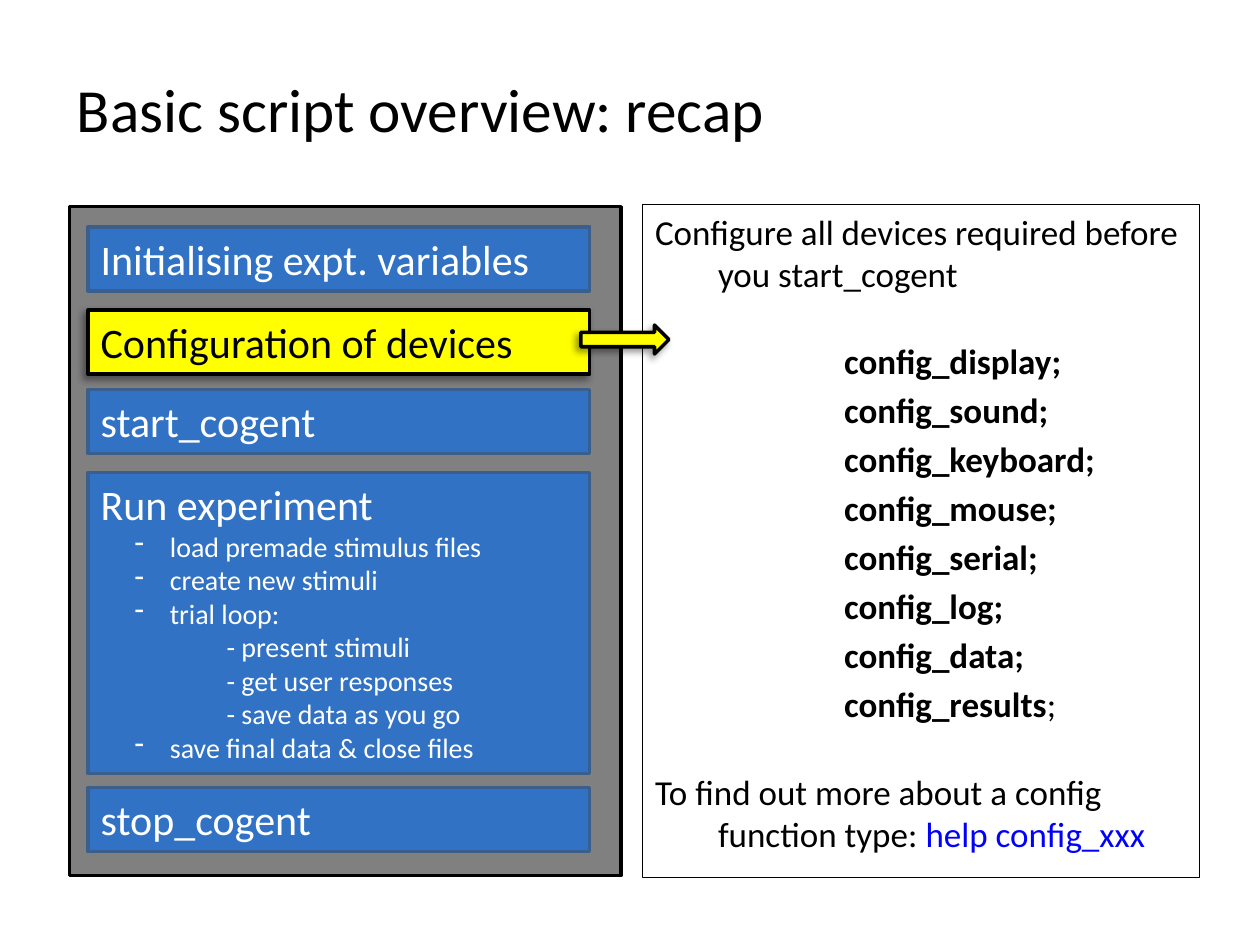
from lxml import etree
from pptx import Presentation
from pptx.dml.color import RGBColor
from pptx.enum.shapes import MSO_SHAPE as Preset
from pptx.enum.text import MSO_ANCHOR as Anchor, PP_ALIGN as Align
from pptx.oxml.ns import qn
from pptx.util import Inches, Pt

BLACK = RGBColor(0x00, 0x00, 0x00)
WHITE = RGBColor(0xFF, 0xFF, 0xFF)
GREY = RGBColor(0x80, 0x80, 0x80)
BLUE = RGBColor(0x31, 0x72, 0xC4)
BLUE_EDGE = RGBColor(0x3A, 0x5F, 0x8C)
YELLOW = RGBColor(0xFF, 0xFF, 0x00)
LINK_BLUE = RGBColor(0x00, 0x00, 0xFF)
FONT = "Calibri"

# Content
TITLE = "Basic script overview: recap"
HIGHLIGHT = "Configuration of devices"
BULLET, SUB = "bullet", "sub"
STEPS = [  # heading, top, height, details
    ("Initialising expt. variables", 1.8, 0.51, []),
    (HIGHLIGHT, 2.46, 0.51, []),
    ("start_cogent", 3.09, 0.51, []),
    ("Run experiment", 3.75, 2.39, [
        (BULLET, "load premade stimulus files"),
        (BULLET, "create new stimuli"),
        (BULLET, "trial loop:"),
        (SUB, "- present stimuli"),
        (SUB, "- get user responses"),
        (SUB, "- save data as you go"),
        (BULLET, "save final data & close files"),
    ]),
    ("stop_cogent", 6.25, 0.51, []),
]
INTRO = "Configure all devices required before you start_cogent"
DEVICES = ["display", "sound", "keyboard", "mouse", "serial", "log", "data", "results"]
HELP_TEXT = "To find out more about a config function type: "
HELP_COMMAND = "help config_xxx"
LINE_GAP, SECTION_GAP = 4, 26
DETAIL_INDENTS = {BULLET: (0.55, -0.28), SUB: (1, 0)}


def add_box(slide, preset, place, fill, edge, width=2, shadow=False):
    shape = slide.shapes.add_shape(preset, *map(Inches, place))
    shape.shadow.inherit = False
    if fill is None:
        shape.fill.background()
    else:
        shape.fill.solid()
        shape.fill.fore_color.rgb = fill
    shape.line.color.rgb = edge
    shape.line.width = Pt(width)
    if shadow:
        effects = shape._element.spPr.find(qn("a:effectLst"))
        outer = etree.SubElement(effects, qn("a:outerShdw"), blurRad=str(Pt(4)),
                                 dist=str(Pt(3)), dir=str(135 * 60000))
        color = etree.SubElement(outer, qn("a:srgbClr"), val=str(BLACK))
        etree.SubElement(color, qn("a:alpha"), val="40000")
    shape.text_frame.word_wrap = True
    shape.text_frame.vertical_anchor = Anchor.TOP
    return shape


def add_paragraph(frame, texts, size, color, left=0, indent=0, before=0, bullet=None):
    first = frame.paragraphs[0]
    paragraph = frame.add_paragraph() if first.runs else first
    for text in texts:
        paragraph.add_run().text = text
    paragraph.alignment = Align.LEFT
    paragraph.space_before = Pt(before)
    properties = paragraph._p.get_or_add_pPr()
    properties.set("marL", str(Inches(left)))
    properties.set("indent", str(Inches(indent)))
    if bullet:
        etree.SubElement(properties, qn("a:buChar"), char=bullet)
    font = paragraph.font
    font.name, font.size, font.color.rgb = FONT, Pt(size), color
    return paragraph


presentation = Presentation()
presentation.slide_width, presentation.slide_height = Inches(10), Inches(7.5)
slide = presentation.slides.add_slide(presentation.slide_layouts[5])

# Title
title = slide.shapes.title
title.left, title.top, title.width, title.height = map(Inches, (0.51, 0.44, 9, 0.84))
title.text_frame.vertical_anchor = Anchor.MIDDLE
add_paragraph(title.text_frame, [TITLE], 35, BLACK)

# Script steps on the left
add_box(slide, Preset.RECTANGLE, (0.55, 1.64, 4.38, 5.31), GREY, BLACK)
for heading, top, height, details in STEPS:
    active = heading == HIGHLIGHT
    fill, edge, color = (YELLOW, BLACK, BLACK) if active else (BLUE, BLUE_EDGE, WHITE)
    step = add_box(slide, Preset.RECTANGLE, (0.7, top, 3.98, height), fill, edge, shadow=active)
    add_paragraph(step.text_frame, [heading], 24, color)
    for kind, text in details:
        add_paragraph(step.text_frame, [text], 16, color, *DETAIL_INDENTS[kind],
                      bullet="-" if kind == BULLET else None)

# Explanation on the right
panel = add_box(slide, Preset.RECTANGLE, (5.1, 1.62, 4.42, 5.34), None, BLACK, 0.25)
frame = panel.text_frame
add_paragraph(frame, [INTRO], 20, BLACK, 0.5, -0.5)
for index, device in enumerate(DEVICES):
    command = add_paragraph(frame, [f"config_{device}", ";"], 20, BLACK, 1.5,
                            before=LINE_GAP if index else SECTION_GAP)
    command.font.bold = True
command.runs[-1].font.bold = False
help_line = add_paragraph(frame, [HELP_TEXT, HELP_COMMAND], 20, BLACK, 0.5, -0.5, SECTION_GAP)
help_line.runs[-1].font.color.rgb = LINK_BLUE

# Arrow from the highlighted step to its explanation
add_box(slide, Preset.RIGHT_ARROW, (4.61, 2.58, 0.7, 0.23), YELLOW, BLACK, shadow=True)

presentation.save("out.pptx")
